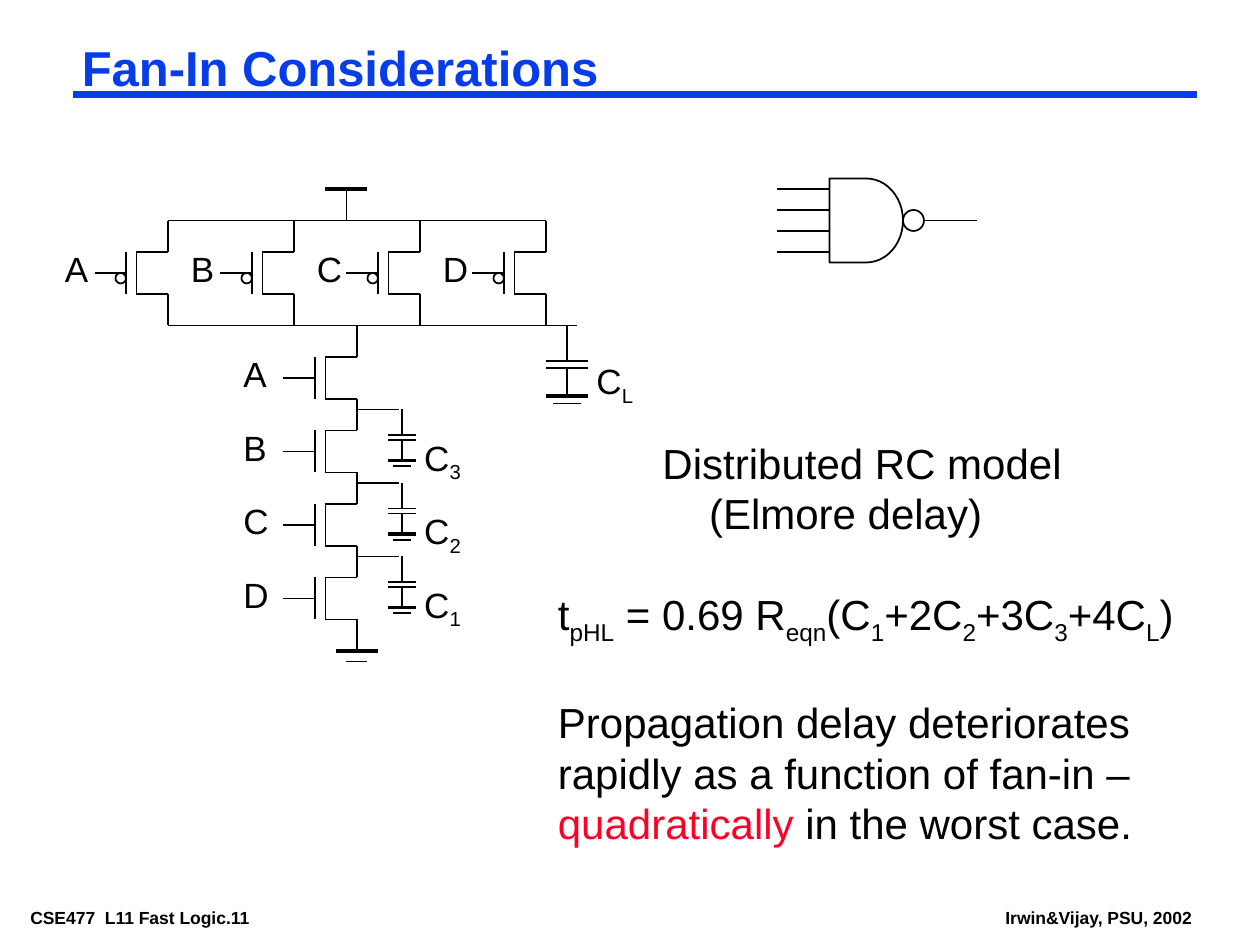
from lxml import etree
from pptx import Presentation
from pptx.dml.color import RGBColor
from pptx.enum.shapes import MSO_CONNECTOR, MSO_SHAPE
from pptx.oxml.ns import qn
from pptx.util import Inches, Pt

BLACK = RGBColor(0x00, 0x00, 0x00)
BLUE = RGBColor(0x06, 0x3D, 0xE8)
RED = RGBColor(0xFC, 0x01, 0x28)
STRAIGHT = MSO_CONNECTOR.STRAIGHT
ELLIPSE = MSO_SHAPE.OVAL
DELAY = MSO_SHAPE.FLOWCHART_DELAY
FONT = "Arial"
GRID = 1 / 12  # the circuit is drawn on a grid of twelfths of an inch
THIN, THICK = 1, 2.25


def wire(s, x1, y1, x2, y2, width=THIN, color=BLACK):
    c = s.shapes.add_connector(STRAIGHT, Inches(x1), Inches(y1), Inches(x2), Inches(y2))
    c.line.color.rgb = color
    c.line.width = Pt(width)
    etree.SubElement(c._element.spPr, qn("a:effectLst"))


def outline(s, kind, x, y, w, h):
    sp = s.shapes.add_shape(kind, Inches(x), Inches(y), Inches(w), Inches(h))
    sp.fill.background()
    sp.line.color.rgb = BLACK
    sp.line.width = Pt(THIN)
    sp.shadow.inherit = False


def text_frame(s, x, y, w, h, wrap=False, margin_x=0.1, margin_y=0.05):
    tf = s.shapes.add_textbox(Inches(x), Inches(y), Inches(w), Inches(h)).text_frame
    tf.word_wrap = wrap
    tf.margin_left = tf.margin_right = Inches(margin_x)
    tf.margin_top = tf.margin_bottom = Inches(margin_y)
    return tf


def write(p, text, size, bold=False, color=BLACK):
    """Fill a paragraph; every second part between underscores is a subscript."""
    p.font.name = FONT
    p.font.size = Pt(size)
    p.font.bold = bold
    p.font.color.rgb = color
    for i, part in enumerate(text.split("_")):
        if part:
            r = p.add_run()
            r.text = part
            if i % 2:
                r.font._element.set("baseline", "-25000")


def label(s, x, y, text, w=0.4, h=0.44):
    write(text_frame(s, x, y, w, h).paragraphs[0], text, 20)


def heading(s, x, y, w, h):
    wire(s, x, 0.75, x + w, 0.75, 4.5, BLUE)
    p = text_frame(s, x, y, w, h, True, 0.07, 0.03).paragraphs[0]
    p.line_spacing = 0.87
    write(p, "Fan-In Considerations", 28, True, BLUE)


def footer(s, y, h):
    for x, w, text in ((0.17, 2.41, "CSE477  L11 Fast Logic.11"),
                       (7.91, 1.63, "Irwin&Vijay, PSU, 2002")):
        p = text_frame(s, x, y, w, h, False, 0.07, 0.03).paragraphs[0]
        write(p, text, 10, True)


def transistor(s, x, y):
    """Channel from (x, y) downwards, with the gate lead on the left."""
    channel, gate = x - 3 * GRID, x - 4 * GRID
    bottom, middle = y + 4 * GRID, y + 2 * GRID
    wire(s, channel, y, x, y)
    wire(s, channel, y, channel, bottom)
    wire(s, channel, bottom, x, bottom)
    wire(s, gate, y, gate, bottom)
    wire(s, x, bottom, x, bottom + 3 * GRID)
    wire(s, gate - 3 * GRID, middle, gate, middle)


def capacitor(s, x, y, w, h, name):
    """Grounded capacitor hanging from (x, y)."""
    plate_1, plate_2, ground = y + 0.45 * h, y + 0.54 * h, y + 0.9 * h
    wire(s, x, y, x, plate_1)
    wire(s, x, plate_2, x, ground)
    for level, width, weight in ((plate_1, w, THIN), (plate_2, w, THIN),
                                 (ground, w, THICK), (y + h, 0.65 * w, THIN)):
        wire(s, x - width / 2, level, x + width / 2, level, weight)
    label(s, x + w / 2 - 0.035, y + 0.36 * h, name, 0.49, 0.48)


def pull_up(s, x, y):
    """Parallel PMOS devices between supply rail and output rail."""
    for i, name in enumerate("ABCD"):
        drain = x + i
        wire(s, drain, y, drain, y + 3 * GRID)
        transistor(s, drain, y + 3 * GRID)
        outline(s, ELLIPSE, drain - 5 * GRID, y + 5 * GRID, GRID, GRID)
        label(s, drain - 11 * GRID, y + 2 * GRID, name)
    wire(s, x, y, x + 3, y)
    wire(s, x, y + 10 * GRID, x + 3.25, y + 10 * GRID)
    # Supply
    supply = x + 17 * GRID
    wire(s, supply, y - 3 * GRID, supply, y)
    wire(s, supply - 2 * GRID, y - 3 * GRID, supply + 2 * GRID, y - 3 * GRID, THICK)


def pull_down(s, x, y):
    """Series NMOS stack with its internal node capacitances."""
    wire(s, x, y, x, y + 3 * GRID)
    pitch = 7 * GRID
    nodes = ("C_3_", "C_2_", "C_1_", None)
    for i, (name, node) in enumerate(zip("ABCD", nodes)):
        top = y + 3 * GRID + i * pitch
        transistor(s, x, top)
        label(s, x - 1, top - GRID, name)
        if node:
            tap = top + 5 * GRID
            wire(s, x, tap, x + 4 * GRID, tap)
            capacitor(s, x + 0.36, tap, 0.22, 0.45, node)
    # Ground
    ground = y + 3 * GRID + 4 * pitch
    wire(s, x - 2 * GRID, ground, x + 2 * GRID, ground, THICK)
    wire(s, x - GRID, ground + GRID, x + GRID, ground + GRID)


def nand_gate(s, x, y):
    body_x, body_w, bubble = x + 5 * GRID, 7 * GRID, 2 * GRID
    outline(s, DELAY, body_x, y, body_w, 8 * GRID)
    outline(s, ELLIPSE, body_x + body_w, y + 3 * GRID, bubble, bubble)
    for i in range(4):
        level = y + (1 + 2 * i) * GRID
        wire(s, x, level, body_x, level)
    out = body_x + body_w + bubble
    wire(s, out, y + 4 * GRID, out + 5 * GRID, y + 4 * GRID)


def delay_text(s, x, y, w, h):
    tf = text_frame(s, x, y, w, h, True)
    # Text, left indent in inches, space before in points
    rows = (("Distributed RC model", 0.83, 0),
            ("(Elmore delay)", 1.2, 0),
            ("t_pHL_ = 0.69 R_eqn_(C_1_+2C_2_+3C_3_+4C_L_)", 0, 29),
            ("Propagation delay deteriorates rapidly as a function of fan-in – ", 0, 29))
    for i, (text, indent, gap) in enumerate(rows):
        p = tf.add_paragraph() if i else tf.paragraphs[0]
        p.space_before = Pt(gap)
        p._p.get_or_add_pPr().set("marL", str(Inches(indent)))
        write(p, text, 24)
    for text, color in (("quadratically", RED), (" in the worst case.", BLACK)):
        r = p.add_run()
        r.text = text
        r.font.color.rgb = color


def main():
    prs = Presentation()
    prs.slide_width, prs.slide_height = Inches(10), Inches(7.5)
    s = prs.slides.add_slide(prs.slide_layouts[6])
    footer(s, 7.17, 0.22)
    heading(s, 0.58, 0.33, 8.92, 0.46)
    pull_up(s, 16 * GRID, 1.75)
    pull_down(s, 34 * GRID, 31 * GRID)
    capacitor(s, 4.5, 31 * GRID, 0.34, 0.62, "C_L_")
    delay_text(s, 4.33, 3.42, 5.33, 3.36)
    nand_gate(s, 74 * GRID, 17 * GRID)
    prs.save("out.pptx")


if __name__ == "__main__":
    main()
